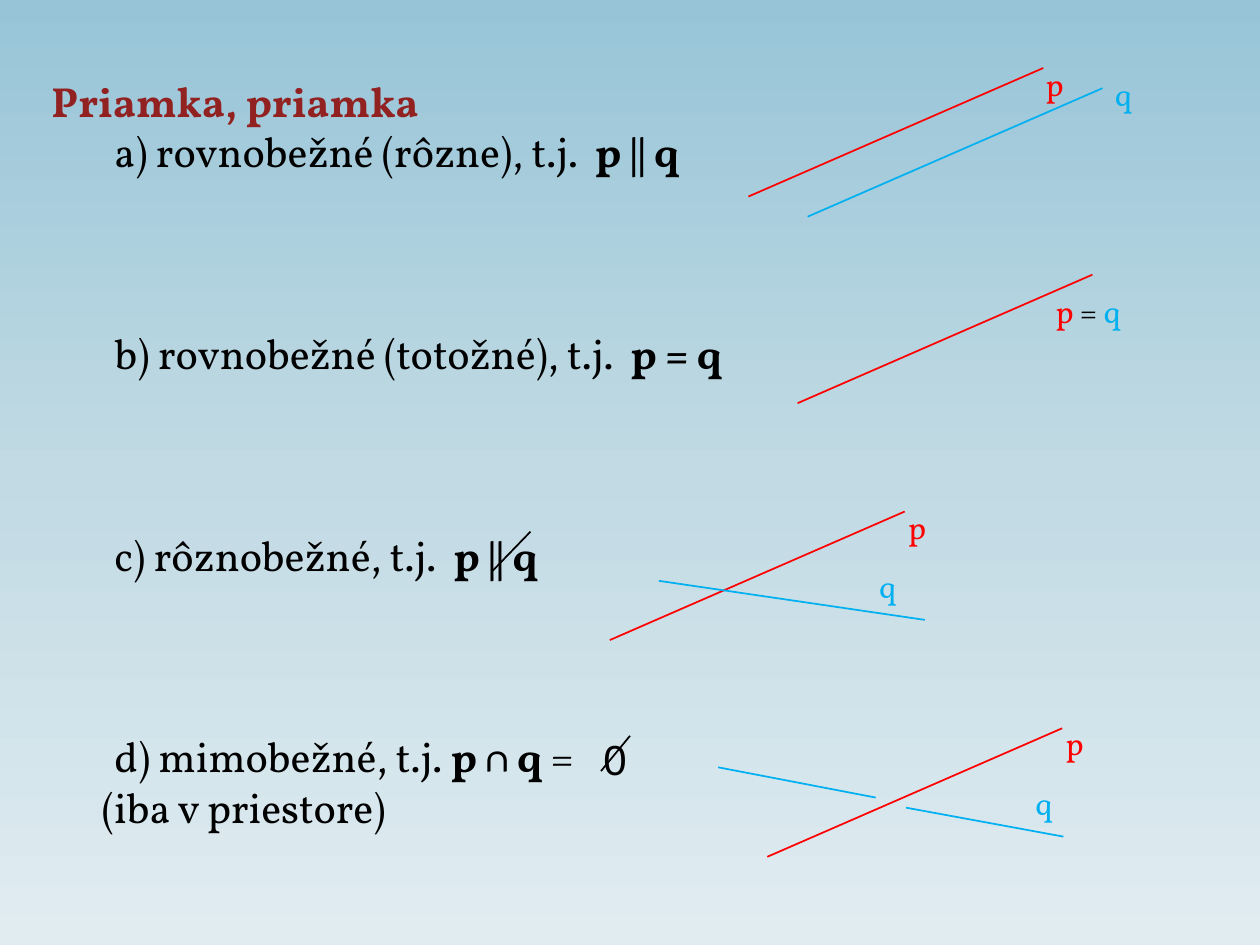
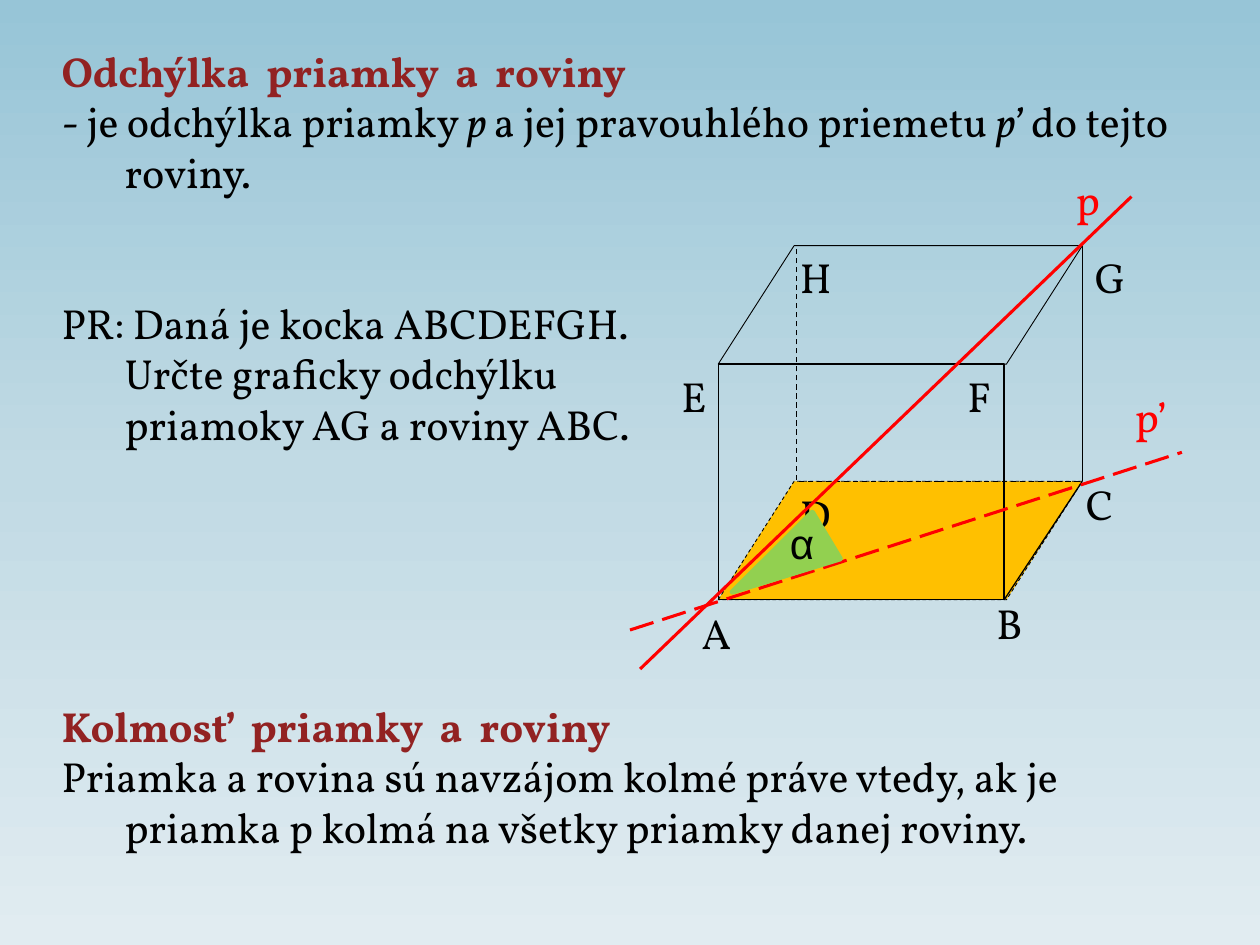
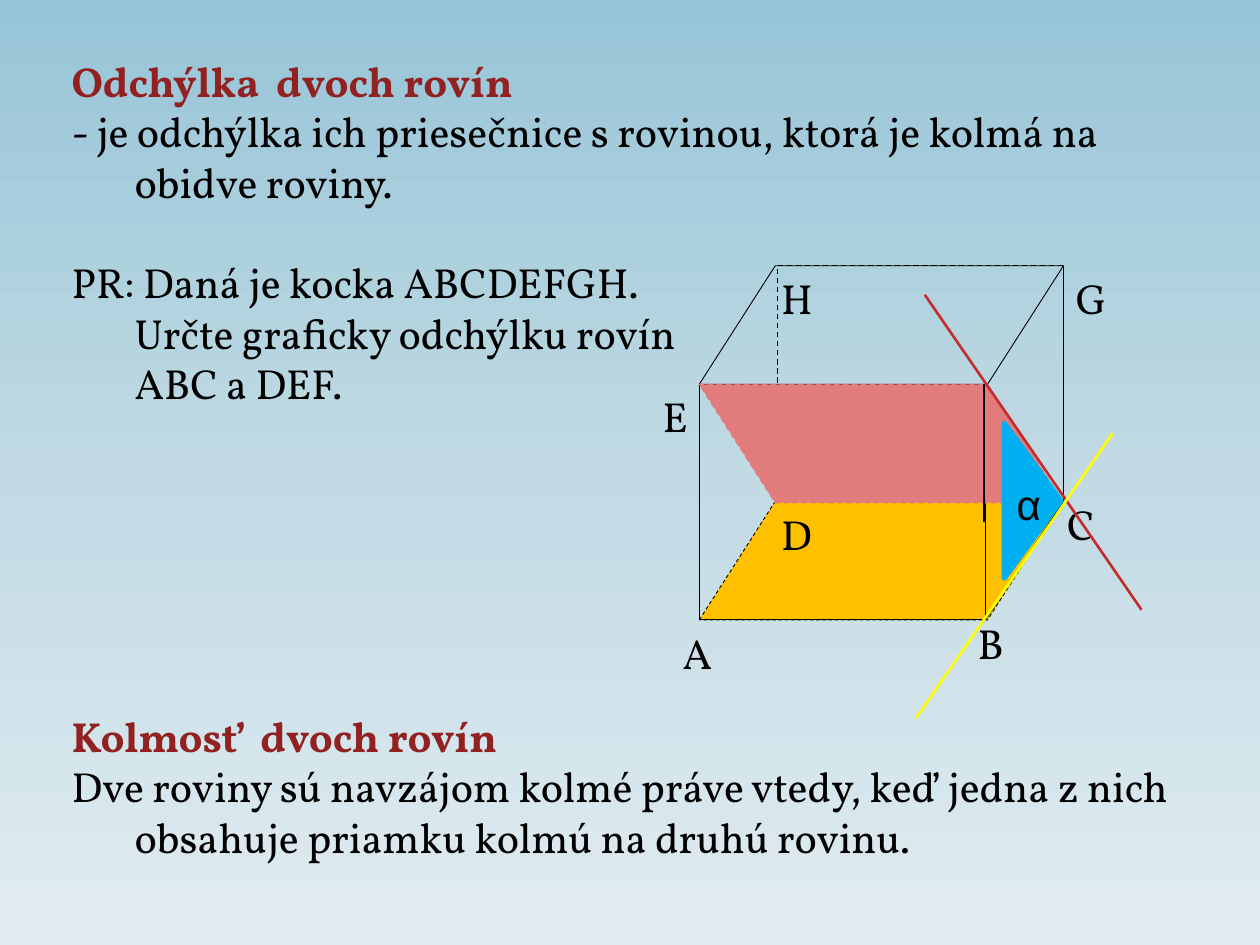
from collections import namedtuple
from copy import deepcopy

from pptx import Presentation
from pptx.dml.color import RGBColor
from pptx.enum.dml import MSO_LINE
from pptx.enum.shapes import MSO_CONNECTOR, MSO_SHAPE
from pptx.enum.text import MSO_AUTO_SIZE
from pptx.oxml.ns import qn
from pptx.oxml.xmlchemy import OxmlElement
from pptx.util import Inches, Pt

STRAIGHT = MSO_CONNECTOR.STRAIGHT
RECTANGLE = MSO_SHAPE.RECTANGLE
PARALLELOGRAM = MSO_SHAPE.PARALLELOGRAM
TRIANGLE = MSO_SHAPE.ISOSCELES_TRIANGLE
MERGE = MSO_SHAPE.FLOWCHART_MERGE
DASH = MSO_LINE.DASH
LONG_DASH = MSO_LINE.LONG_DASH
FIT_SHAPE = MSO_AUTO_SIZE.SHAPE_TO_FIT_TEXT

BLACK, RED, BLUE, MAROON = "000000", "FF0000", "00B0F0", "922222"
ORANGE, GREEN, PINK, CRIMSON, YELLOW = "FFC000", "92D050", "E17B7C", "C32D2E", "FFFF00"
BACKGROUND = ((0, "97C5D7"), (0.5, "C1DAE4"), (1, "E1ECF1"))
SERIF, SANS = "Vollkorn", "Arial"
BODY_SIZE, LABEL_SIZE, LINE_PITCH = 24, 18, 28.8
HANG = 0.5
CUBE_SIDE, CUBE_HEIGHT, CUBE_WIDTH, CUBE_DEPTH = 2.27, 1.87, 2.89, 0.94
CUBE_SHIFT = CUBE_WIDTH - CUBE_SIDE
CUBE_LABELS = {"B": (2.11, 2.74), "A": (-0.23, 2.82), "C": (2.82, 1.8), "D": (0.55, 1.88),
               "E": (-0.39, 0.94), "F": (1.88, 0.94), "G": (2.89, 0), "H": (0.55, 0)}

Span = namedtuple("Span", "text color bold italic", defaults=(BLACK, False, False))
Para = namedtuple("Para", "spans gap left first", defaults=(0, HANG, -HANG))


def rgb(value):
    """Turn a hex string into a colour."""
    return RGBColor.from_string(value)


def title(text, gap=0):
    """Describe a heading paragraph."""
    return Para([Span(text, MAROON, True)], gap)


def plain(text, gap=0, first=-HANG):
    """Describe a paragraph of regular text."""
    return Para([Span(text)], gap, first=first)


def item(text, formula, gap=0, tail=""):
    """Describe an indented case that ends in a formula."""
    spans = [Span(text), Span(formula, bold=True)]
    if tail:
        spans.append(Span(tail))
    return Para(spans, gap, first=0)


class Lesson:
    """Hold the deck style and the slide being drawn."""

    def __init__(self):
        """Start the deck and set its shared background."""
        self.deck = Presentation()
        self.deck.slide_width, self.deck.slide_height = Inches(10), Inches(7.5)
        self.page = None
        master = self.deck.slide_master
        fill = master.background.fill
        fill.gradient()
        fill.gradient_angle = 270
        stops = next(master.element.iter(qn("a:gsLst")))
        stops.insert(1, deepcopy(stops[0]))
        for stop, (position, color) in zip(fill.gradient_stops, BACKGROUND):
            stop.position = position
            stop.color.rgb = rgb(color)

    def new_page(self):
        """Add a blank slide."""
        self.page = self.deck.slides.add_slide(self.deck.slide_layouts[6])

    def text(self, left, top, width, height, paras, size=BODY_SIZE, font=SERIF):
        """Add a text box run by run."""
        box = self.page.shapes.add_textbox(*map(Inches, (left, top, width, height)))
        frame = box.text_frame
        frame.word_wrap = True
        frame.auto_size = FIT_SHAPE
        for index, spec in enumerate(paras):
            para = frame.add_paragraph() if index else frame.paragraphs[0]
            properties = para._p.get_or_add_pPr()
            properties.set("marL", str(Inches(spec.left)))
            properties.set("indent", str(Inches(spec.first)))
            if spec.gap:
                para.space_before = Pt(spec.gap * LINE_PITCH)
            for span in spec.spans:
                run = para.add_run()
                run.text = span.text
                run.font.name, run.font.size = font, Pt(size)
                run.font.bold, run.font.italic = span.bold, span.italic
                run.font.color.rgb = rgb(span.color)

    def label(self, left, top, spans, width=0.47, size=LABEL_SIZE, font=SERIF):
        """Add a short label."""
        height = 0.4 if size == LABEL_SIZE else 0.5
        self.text(left, top, width, height, [Para(spans, left=0, first=0)], size, font)

    def outline(self, line, color, weight, dash=None):
        """Style a line or an outline."""
        line.color.rgb = rgb(color)
        line.width = Pt(weight)
        if dash:
            line.dash_style = dash

    def line(self, start, end, color=BLACK, weight=1, dash=None):
        """Add a straight line between two points."""
        connector = self.page.shapes.add_connector(STRAIGHT, *map(Inches, (*start, *end)))
        self.outline(connector.line, color, weight, dash)
        connector.element.spPr.append(OxmlElement("a:effectLst"))

    def shape(self, kind, left, top, width, height, fill=None, color=BLACK, weight=0.75,
              dash=None, rotation=0):
        """Add a preset shape and return it."""
        shape = self.page.shapes.add_shape(kind, *map(Inches, (left, top, width, height)))
        shape.shadow.inherit = False
        shape.rotation = rotation
        if fill:
            shape.fill.solid()
            shape.fill.fore_color.rgb = rgb(fill)
        else:
            shape.fill.background()
        self.outline(shape.line, color, weight, dash)
        return shape

    def slanted_face(self, left, top, **style):
        """Add a slanted face of the cube and return it."""
        face = self.shape(PARALLELOGRAM, left, top, CUBE_WIDTH, CUBE_DEPTH, **style)
        face.adjustments[0] = 0.641
        return face

    def cube(self, left, top, corners):
        """Add the cube with its labelled corners."""
        right, base = left + CUBE_WIDTH, top + CUBE_HEIGHT
        self.line((right, top), (right, base), weight=0.75)
        self.slanted_face(left, base, fill=ORANGE, weight=0.5, dash=DASH)
        self.shape(RECTANGLE, left, top + CUBE_DEPTH, CUBE_SIDE, CUBE_HEIGHT)
        self.slanted_face(left, top, weight=0.5)
        self.shape(RECTANGLE, left + CUBE_SHIFT, top, CUBE_SIDE, CUBE_HEIGHT, dash=DASH)
        self.line((right, base), (left + CUBE_SIDE, base + CUBE_DEPTH), weight=0.75)
        for name in corners:
            across, down = CUBE_LABELS[name]
            self.label(left + across, top + down, [Span(name)], 0.39, BODY_SIZE)


def draw_two_lines(lesson):
    """Draw the mutual positions of two lines."""
    lesson.new_page()
    lesson.text(0.31, 0.55, 9.45, 6.56, [
        title("Priamka, priamka"),
        item("a) rovnobežné (rôzne), t.j.  ", "p || q"),
        item("b) rovnobežné (totožné), t.j.  ", "p = q", 3),
        item("c) rôznobežné, t.j.  ", "p || q", 3),
        item("d) mimobežné, t.j. ", "p ∩ q ", 3, "="),
        Para([Span("(iba v priestore)")], left=0.4, first=0),
    ])
    lesson.label(4.69, 5.77, [Span("0")], 0.31, BODY_SIZE, SANS)
    lesson.line((5, 5.84), (4.77, 6.12))
    lesson.line((3.91, 4.53), (4.21, 4.22))
    for left, bottom in ((5.94, 1.56), (6.33, 3.2), (4.84, 5.08), (6.09, 6.8)):
        lesson.line((left, bottom), (left + 2.34, bottom - 1.02), RED)
    for start, end in (((6.41, 1.72), (8.75, 0.7)), ((5.23, 4.61), (7.34, 4.92)),
                       ((5.7, 6.09), (6.95, 6.33)), ((7.19, 6.41), (8.44, 6.64))):
        lesson.line(start, end, BLUE)
    for left, top in ((8.2, 0.47), (7.11, 3.98), (8.36, 5.7)):
        lesson.label(left, top, [Span("p", RED)])
    for left, top in ((8.75, 0.55), (6.88, 4.45), (8.12, 6.17)):
        lesson.label(left, top, [Span("q", BLUE)])
    lesson.label(8.28, 2.27, [Span("p ", RED), Span("= "), Span("q", BLUE)], 0.86)


def draw_line_and_plane(lesson):
    """Draw the angle between a line and a plane."""
    lesson.new_page()
    lesson.text(0.39, 0.31, 9.38, 6.56, [
        title("Odchýlka  priamky  a  roviny"),
        Para([Span("- je odchýlka priamky "), Span("p ", italic=True),
              Span("a jej pravouhlého priemetu "), Span("p’", italic=True),
              Span(" do tejto roviny.")]),
        plain("PR: Daná je kocka ABCDEFGH.", 2),
        plain("Určte graficky odchýlku", first=0),
        plain("priamoky AG a roviny ABC.", first=0),
        title("Kolmosť  priamky  a  roviny", 5),
        plain("Priamka a rovina sú navzájom kolmé práve vtedy, ak je priamka p kolmá "
              "na všetky priamky danej roviny."),
    ])
    lesson.cube(5.7, 1.95, "BACDEFGH")
    lesson.line((5, 5), (9.38, 3.59), RED, 1.75, LONG_DASH)
    lesson.shape(MERGE, 5.97, 4.04, 0.43, 0.87, GREEN, GREEN, 3, rotation=59)
    lesson.label(6.17, 4.06, [Span("α")], 0.31, BODY_SIZE, SANS)
    lesson.line((5.08, 5.31), (8.98, 1.56), RED, 1.75)
    lesson.label(8.44, 1.33, [Span("p", RED)], 0.31, BODY_SIZE)
    lesson.label(8.91, 3.05, [Span("p’", RED)], size=BODY_SIZE)


def draw_two_planes(lesson):
    """Draw the angle between two planes."""
    lesson.new_page()
    lesson.text(0.47, 0.39, 8.91, 6.56, [
        title("Odchýlka  dvoch rovín"),
        plain("- je odchýlka ich priesečnice s rovinou, ktorá je kolmá na obidve roviny."),
        plain("PR: Daná je kocka ABCDEFGH.", 1),
        plain("Určte graficky odchýlku rovín", first=0),
        plain("ABC a DEF.", first=0),
        title("Kolmosť  dvoch rovín", 6),
        plain("Dve roviny sú navzájom kolmé práve vtedy, keď jedna z nich obsahuje "
              "priamku kolmú na druhú rovinu."),
    ])
    left, top = 5.55, 2.11
    lesson.cube(left, top, "BACDEGH")
    plane = lesson.slanted_face(left, top + CUBE_DEPTH, fill=PINK, color=PINK, dash=DASH)
    plane.element.spPr.find(qn("a:xfrm")).set("flipH", "1")
    lesson.line((7.81, 3.05), (7.81, 4.14))
    lesson.line((7.34, 2.34), (9.06, 4.84), CRIMSON, 1.5)
    lesson.line((7.27, 5.7), (8.83, 3.44), YELLOW, 1.5)
    lesson.shape(TRIANGLE, 7.58, 3.75, 1.23, 0.45, BLUE, BLUE, 3, rotation=90)
    lesson.label(7.97, 3.75, [Span("α")], 0.31, BODY_SIZE, SANS)


def main():
    """Build the three slides and save them."""
    lesson = Lesson()
    draw_two_lines(lesson)
    draw_line_and_plane(lesson)
    draw_two_planes(lesson)
    lesson.deck.save("out.pptx")


if __name__ == "__main__":
    main()
